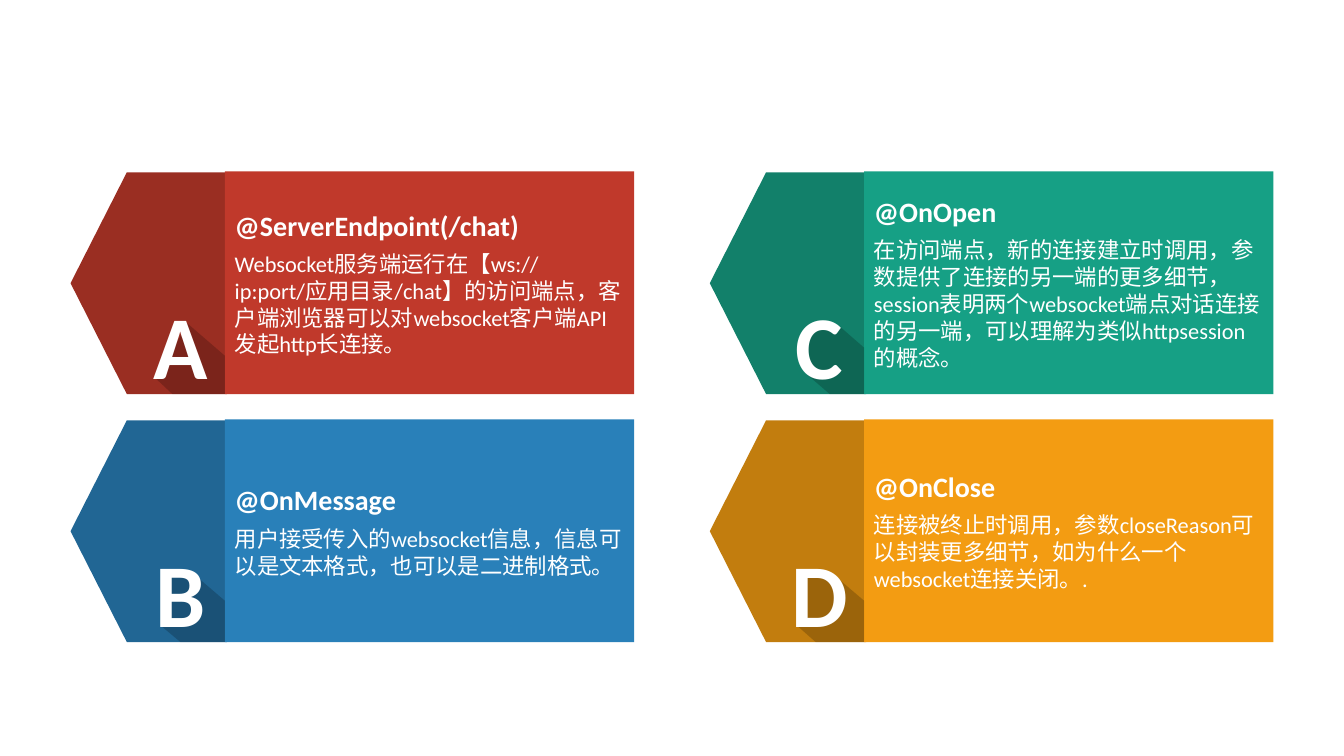
from lxml import etree
from pptx import Presentation
from pptx.dml.color import RGBColor
from pptx.enum.shapes import MSO_SHAPE
from pptx.enum.text import MSO_ANCHOR, PP_ALIGN
from pptx.oxml.ns import qn
from pptx.util import Inches, Pt

RECTANGLE, PENTAGON = MSO_SHAPE.RECTANGLE, MSO_SHAPE.PENTAGON
MIDDLE, TOP = MSO_ANCHOR.MIDDLE, MSO_ANCHOR.TOP
LEFT, CENTER = PP_ALIGN.LEFT, PP_ALIGN.CENTER

FONT = "Calibri"
WHITE = RGBColor(0xFF, 0xFF, 0xFF)
BLACK = RGBColor(0x00, 0x00, 0x00)
RED, DARK_RED = RGBColor(0xC0, 0x39, 0x2B), RGBColor(0x9A, 0x2E, 0x22)
BLUE, DARK_BLUE = RGBColor(0x29, 0x80, 0xB9), RGBColor(0x21, 0x66, 0x94)
GREEN, DARK_GREEN = RGBColor(0x16, 0xA0, 0x85), RGBColor(0x12, 0x80, 0x6A)
ORANGE, DARK_ORANGE = RGBColor(0xF3, 0x9C, 0x12), RGBColor(0xC2, 0x7D, 0x0E)

# Card grid and card parts, in inches
GRID_LEFT, GRID_TOP = 0.7, 1.7
COLUMN_STEP, ROW_STEP = 6.34, 2.46
ARROW_WIDTH, ARROW_HEIGHT, ARROW_DROP = 1.55, 2.2, 0.01
PANEL_OFFSET, PANEL_WIDTH, PANEL_HEIGHT = 1.53, 4.06, 2.21

# Letter, colours, heading, description and shadow outline, column by column.
# Outlines are in hundredths of an inch from the card's corner;
# the letter hides their left edge.
CARDS = [
    ("A", RED, DARK_RED, "@ServerEndpoint(/chat)",
     "Websocket服务端运行在【ws://ip:port/应用目录/chat】的访问端点，"
     "客户端浏览器可以对websocket客户端API发起http长连接。",
     [(116, 151), (153, 183), (153, 221), (101, 221), (85, 206)]),
    ("B", BLUE, DARK_BLUE, "@OnMessage",
     "用户接受传入的websocket信息，信息可以是文本格式，也可以是二进制格式。",
     [(125, 156), (153, 180), (153, 221), (109, 221), (91, 206), (93, 154)]),
    ("C", GREEN, DARK_GREEN, "@OnOpen",
     "在访问端点，新的连接建立时调用，参数提供了连接的另一端的更多细节，"
     "session表明两个websocket端点对话连接的另一端，可以理解为类似httpsession的概念。",
     [(129, 154), (153, 175), (153, 221), (119, 221), (97, 202), (94, 175),
      (106, 154)]),
    ("D", ORANGE, DARK_ORANGE, "@OnClose",
     "连接被终止时调用，参数closeReason可以封装更多细节，如为什么一个websocket连接关闭。.",
     [(126, 157), (153, 180), (153, 221), (105, 221), (88, 206), (91, 154)]),
]


def paint(shape, color):
    shape.shadow.inherit = False
    shape.fill.solid()
    shape.fill.fore_color.rgb = color
    shape.line.fill.background()


def write(paragraph, text, size, bold, align):
    paragraph.text = text
    paragraph.alignment = align
    paragraph.font.name = FONT
    paragraph.font.size = Pt(size)
    paragraph.font.bold = bold
    paragraph.font.color.rgb = WHITE


def add_arrow(slide, left, top, color):
    arrow = slide.shapes.add_shape(PENTAGON, Inches(left), Inches(top),
                                   Inches(ARROW_WIDTH), Inches(ARROW_HEIGHT))
    arrow.adjustments[0] = 0.36
    arrow._element.spPr.find(qn("a:xfrm")).set("flipH", "1")
    paint(arrow, color)


def add_panel(slide, left, top, color, heading, description):
    panel = slide.shapes.add_shape(RECTANGLE, Inches(left), Inches(top),
                                   Inches(PANEL_WIDTH), Inches(PANEL_HEIGHT))
    paint(panel, color)
    frame = panel.text_frame
    frame.word_wrap = True
    frame.vertical_anchor = MIDDLE
    write(frame.paragraphs[0], heading, 20, True, LEFT)
    body = frame.add_paragraph()
    write(body, description, 16, False, LEFT)
    body.space_before = Pt(6)


def add_letter(slide, left, top, letter, outline):
    # Long translucent shadow
    builder = slide.shapes.build_freeform(*outline[0], scale=Inches(0.01))
    builder.add_line_segments(outline[1:], close=True)
    shadow = builder.convert_to_shape(Inches(left), Inches(top))
    paint(shadow, BLACK)
    tint = shadow._element.spPr.find(qn("a:solidFill"))[0]
    etree.SubElement(tint, qn("a:alpha"), val="20000")

    # Letter
    box = slide.shapes.add_textbox(Inches(left + 0.59), Inches(top + 1.18),
                                   Inches(1), Inches(1.08))
    frame = box.text_frame
    frame.margin_left = frame.margin_right = 0
    frame.margin_top = frame.margin_bottom = 0
    frame.word_wrap = True
    frame.vertical_anchor = TOP
    write(frame.paragraphs[0], letter, 64, True, CENTER)


def add_card(slide, left, top, card):
    letter, color, dark_color, heading, description, outline = card
    add_arrow(slide, left, top + ARROW_DROP, dark_color)
    add_panel(slide, left + PANEL_OFFSET, top, color, heading, description)
    add_letter(slide, left, top, letter, outline)


def main():
    deck = Presentation()
    deck.slide_width, deck.slide_height = Inches(13.33), Inches(7.5)
    slide = deck.slides.add_slide(deck.slide_layouts[6])
    for index, card in enumerate(CARDS):
        column, row = divmod(index, 2)
        add_card(slide, GRID_LEFT + column * COLUMN_STEP,
                 GRID_TOP + row * ROW_STEP, card)
    deck.save("out.pptx")


if __name__ == "__main__":
    main()
